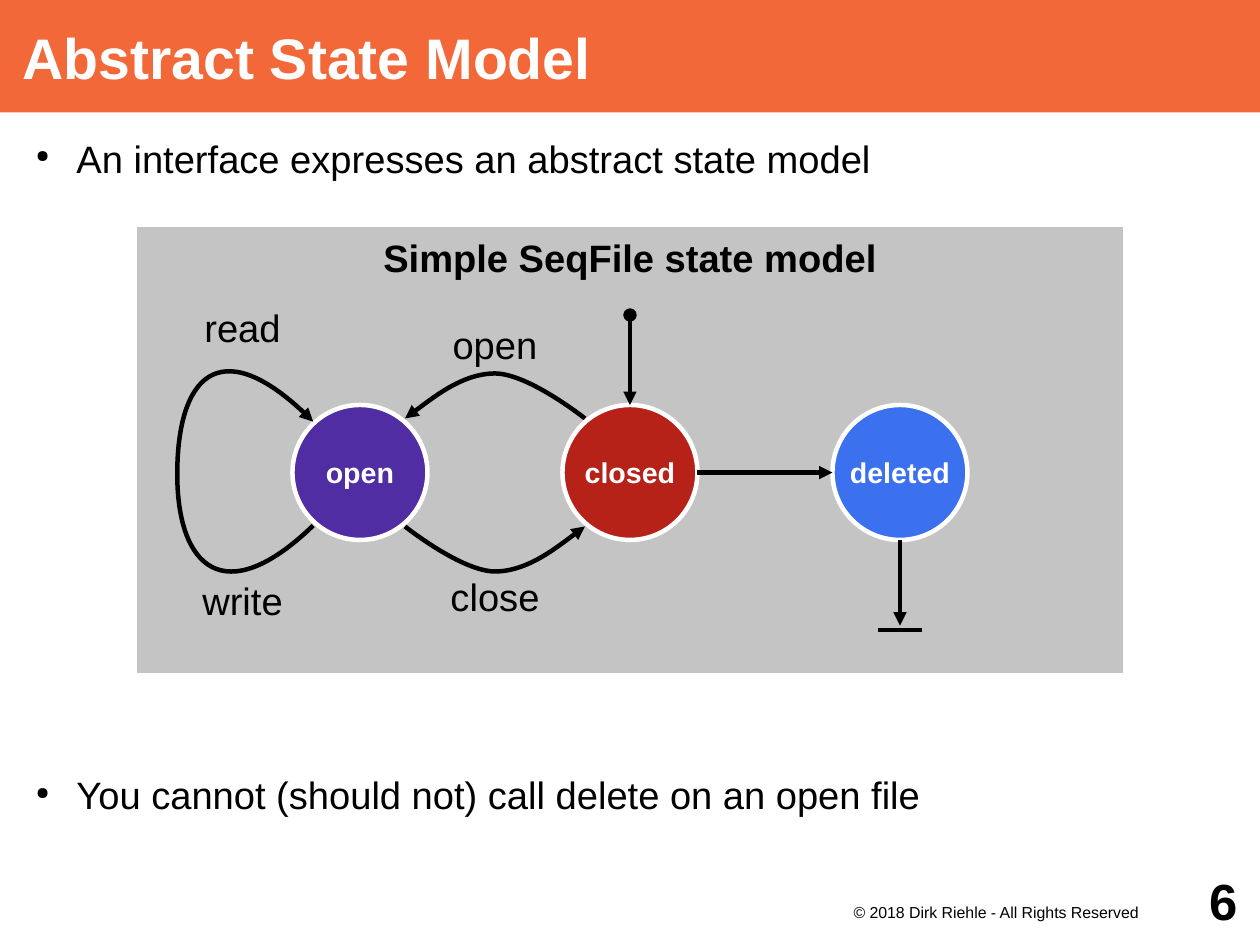
import pptx
import pptx.util
import pptx.dml.color
import pptx.enum.shapes
import pptx.enum.text
import pptx.oxml.ns
import lxml.etree

RGB = pptx.dml.color.RGBColor
KIND = pptx.enum.shapes.MSO_SHAPE
ALIGN = pptx.enum.text.PP_ALIGN
ANCHOR = pptx.enum.text.MSO_ANCHOR
qn = pptx.oxml.ns.qn

ORANGE = RGB(0xF3, 0x68, 0x38)
GRAY = RGB(0xC4, 0xC4, 0xC4)
PURPLE = RGB(0x50, 0x2D, 0xA2)
RED = RGB(0xB6, 0x21, 0x18)
BLUE = RGB(0x3B, 0x70, 0xEE)
WHITE = RGB(0xFF, 0xFF, 0xFF)
BLACK = RGB(0, 0, 0)

COLS, ROWS = 28, 21
STROKE = pptx.util.Pt(2.83)


def grid(*cells):
    """Turn grid cells of one centimetre into slide lengths."""
    return [pptx.util.Cm(cell) for cell in cells]


def sub(parent, tag, **attrs):
    """Append an XML element with its attributes."""
    node = lxml.etree.SubElement(parent, qn(tag))
    for key, value in attrs.items():
        node.set(key, value)
    return node


def write(shape, words, size=24, color=BLACK, bold=False, align=ALIGN.LEFT,
          anchor=ANCHOR.TOP, inset=(0, 0, 0, 0), wrap=True, bullet=False):
    """Put one formatted paragraph into a shape."""
    frame = shape.text_frame
    frame.word_wrap = wrap
    frame.vertical_anchor = anchor
    (frame.margin_left, frame.margin_top,
     frame.margin_right, frame.margin_bottom) = grid(*inset)
    para = frame.paragraphs[0]
    para.alignment = align
    if bullet:
        props = para._p.get_or_add_pPr()
        left, hang = grid(1.2, -0.9)
        props.set("marL", str(left))
        props.set("indent", str(hang))
        sub(sub(props, "a:buClr"), "a:srgbClr", val=str(BLACK))
        sub(props, "a:buSzPct", val="45000")
        sub(props, "a:buChar", char="●")
    run = para.add_run()
    run.text = words
    run.font.name = "Arial"
    run.font.size = pptx.util.Pt(size)
    run.font.bold = bold
    run.font.color.rgb = color


def label(slide, box, words, **style):
    """Add a text box."""
    write(slide.shapes.add_textbox(*grid(*box)), words, **style)


def block(slide, kind, box, fill, edge=None):
    """Add a flat shape with an optional outline."""
    shape = slide.shapes.add_shape(kind, *grid(*box))
    shape.shadow.inherit = False
    shape.fill.solid()
    shape.fill.fore_color.rgb = fill
    if edge is None:
        shape.line.fill.background()
    else:
        shape.line.color.rgb = edge
        shape.line.width = STROKE
    return shape


def stroke(shape, head=None, tail=None):
    """Give a line its black stroke and arrowheads."""
    shape.line.color.rgb = BLACK
    shape.line.width = STROKE
    line = shape.element.spPr.find(qn("a:ln"))
    if head:
        sub(line, "a:headEnd", type=head)
    if tail:
        sub(line, "a:tailEnd", type=tail)


def link(slide, start, end, head=None, tail=None):
    """Draw a straight line between two grid points."""
    line = slide.shapes.add_connector(
        pptx.enum.shapes.MSO_CONNECTOR.STRAIGHT, *grid(*start, *end))
    stroke(line, head, tail)
    sub(line.element.spPr, "a:effectLst")


def curve(slide, points):
    """Draw an arrow along cubic curves through grid points."""
    first, *rest = [grid(*point) for point in points]
    build = slide.shapes.build_freeform(*first)
    build.add_line_segments(rest, close=False)
    shape = build.convert_to_shape()
    shape.shadow.inherit = False
    shape.fill.background()
    legs = list(shape.element.iter(qn("a:lnTo")))
    route = legs[0].getparent()
    for k in range(0, len(legs), 3):
        bend = sub(route, "a:cubicBezTo")
        for leg in legs[k:k + 3]:
            bend.append(leg[0])
            route.remove(leg)
    stroke(shape, tail="triangle")


def header(slide, box):
    """Draw the title bar."""
    bar = block(slide, KIND.RECTANGLE, box, ORANGE)
    write(bar, "Abstract State Model", size=36, color=WHITE, bold=True,
          anchor=ANCHOR.MIDDLE, inset=(0.5, 0, 0, 0))


def points(slide, box):
    """Write the bullets above and below the diagram."""
    x, y, w, h = box
    label(slide, (x, y, w, 1.2), bullet=True,
          words="An interface expresses an abstract state model")
    label(slide, (x, y + h - 0.85, w, 1.2), bullet=True,
          words="You cannot (should not) call delete on an open file")


def model(slide, box):
    """Draw the state diagram on its panel."""
    x, y, w, h = box
    side, gap, left, top = 3, 6, 3.5, 4

    def at(col, row):
        """Move a point of the panel onto the slide."""
        return x + col, y + row

    panel = block(slide, KIND.RECTANGLE, box, GRAY, WHITE)
    write(panel, "Simple SeqFile state model", bold=True, align=ALIGN.CENTER,
          inset=(0.2,) * 4, wrap=False)

    states = [("open", PURPLE), ("closed", RED), ("deleted", BLUE)]
    for k, (name, fill) in enumerate(states):
        disc = block(slide, KIND.OVAL, (*at(left + k * gap, top), side, side),
                     fill, WHITE)
        write(disc, name, size=18, color=WHITE, bold=True, align=ALIGN.CENTER,
              anchor=ANCHOR.MIDDLE, inset=(0.2,) * 4, wrap=False)

    mid = top + side / 2
    shut, gone = (left + k * gap + side / 2 for k in (1, 2))
    link(slide, at(shut + side / 2, mid), at(gone - side / 2, mid),
         tail="triangle")
    link(slide, at(shut, top - 2), at(shut, top), "oval", "triangle")
    link(slide, at(gone, top + side), at(gone, 8.9), tail="triangle")
    link(slide, at(gone - 0.5, 9), at(gone + 0.5, 9))

    close = [(6, 6.7), (6, 6.7), (7.26, 7.7), (8, 7.7),
             (8.74, 7.7), (10, 6.7), (10, 6.7)]
    back = [(16 - col, 2 * mid - row) for col, row in close]
    loop = [(3.96, 6.68), (1.98, 8.59), (0.94, 7.6), (0.94, 5.54),
            (0.94, 3.38), (1.93, 2.32), (3.96, 4.37)]
    for path in (close, back, loop):
        curve(slide, [at(*point) for point in path])

    calls = [("read", 2.39, 2.27), ("write", 2.39, 8.35),
             ("open", 8, 2.65), ("close", 8, 8.26)]
    for name, col, row in calls:
        label(slide, (*at(col - 2, row - 0.5), 4, 1), name,
              align=ALIGN.CENTER, anchor=ANCHOR.MIDDLE)


def footer(slide, box):
    """Write the copyright line and the page number."""
    x, y, w, h = box
    page = 2.5
    label(slide, (x, y + h / 2, w - page + 0.5, h / 2),
          "© 2018 Dirk Riehle - All Rights Reserved", size=10,
          align=ALIGN.RIGHT, inset=(0, 0.05, 0.7, 0))
    label(slide, (x + w - page, y, page, h), "6", size=32, bold=True,
          align=ALIGN.RIGHT, anchor=ANCHOR.MIDDLE, inset=(0, 0, 0.5, 0))


def main():
    """Build and save the slide."""
    deck = pptx.Presentation()
    deck.slide_width, deck.slide_height = grid(COLS, ROWS)
    slide = deck.slides.add_slide(deck.slide_layouts[6])
    header(slide, (0, 0, COLS, 2.5))
    points(slide, (0.5, 3, COLS - 1, 15))
    model(slide, (3, 5, COLS - 6, 10))
    footer(slide, (COLS - 10, ROWS - 2, 10, 2))
    deck.save("out.pptx")


if __name__ == "__main__":
    main()
